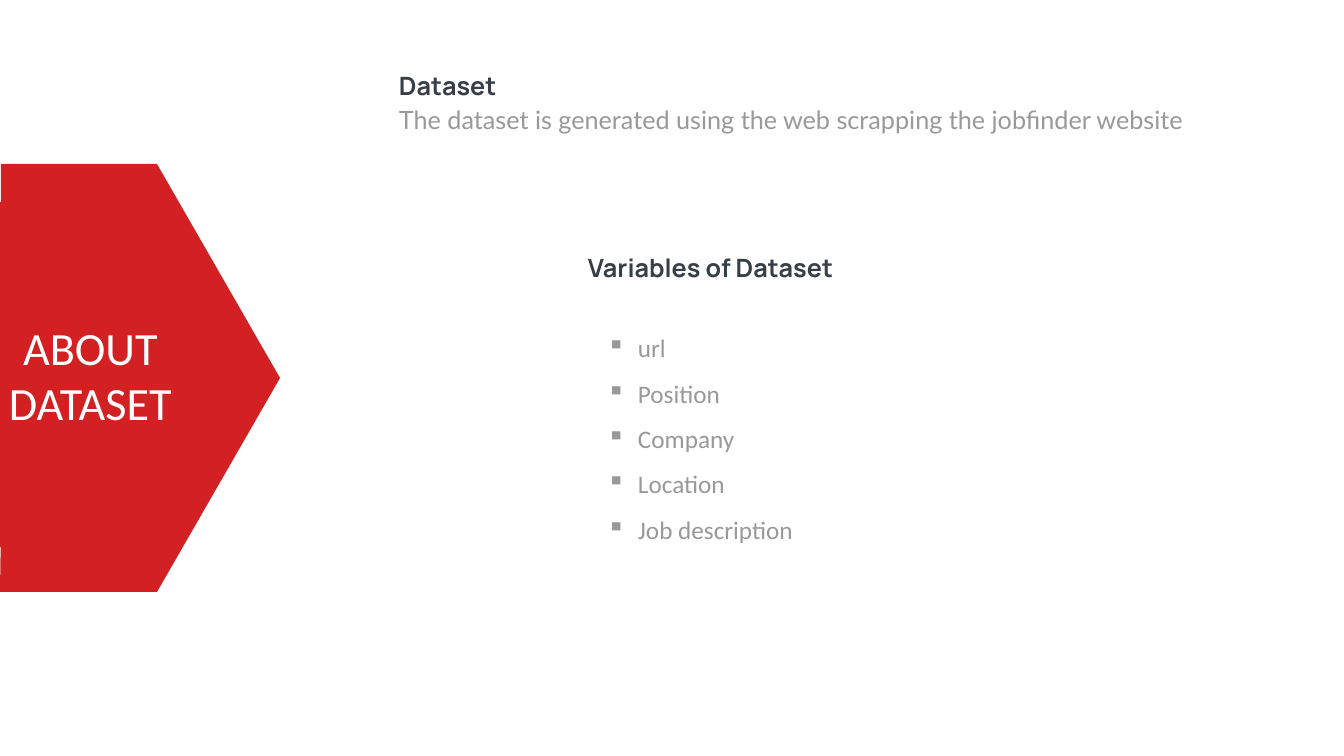
from lxml import etree
from pptx import Presentation
from pptx.dml.color import RGBColor
from pptx.enum.shapes import MSO_SHAPE
from pptx.enum.text import MSO_ANCHOR, MSO_AUTO_SIZE, PP_ALIGN
from pptx.oxml.ns import qn
from pptx.util import Pt

EMU_PER_PX = 914400 / 50.4
RED = RGBColor(0xD3, 0x20, 0x23)
WHITE = RGBColor(0xFF, 0xFF, 0xFF)
GRAY = RGBColor(0x99, 0x99, 0x99)
NAVY = RGBColor(0x36, 0x3E, 0x48)
HOME_PLATE = MSO_SHAPE.PENTAGON
MIDDLE = MSO_ANCHOR.MIDDLE
LEFT, CENTER = PP_ALIGN.LEFT, PP_ALIGN.CENTER
GROW = MSO_AUTO_SIZE.SHAPE_TO_FIT_TEXT

CHEVRON = [
    (280, 378), (157, 164), (1, 164), (1, 233), (117, 233), (201, 378),
    (117, 524), (1, 524), (0, 592), (157, 592),
]
VARIABLES = ["url", "Position", "Company", "Location", "Job description"]
BULLET_INDENT = 31


def px(length):
    return round(length * EMU_PER_PX)


def paint(shape, color):
    shape.shadow.inherit = False
    shape.fill.solid()
    shape.fill.fore_color.rgb = color
    shape.line.fill.background()


def write(paragraph, text, font, size, color, bold=False):
    run = paragraph.add_run()
    run.text = text
    run.font.name = font
    run.font.size = Pt(size)
    run.font.bold = bold
    run.font.color.rgb = color


def text_frame(shapes, left, top, width, height):
    frame = shapes.add_textbox(px(left), px(top), px(width), px(height)).text_frame
    frame.word_wrap = True
    frame.auto_size = GROW
    return frame


def add_line(shapes, box, text, font, color, bold=False, align=LEFT, spacing=None):
    paragraph = text_frame(shapes, *box).paragraphs[0]
    paragraph.alignment = align
    paragraph.line_spacing = spacing
    write(paragraph, text, font, 36, color, bold)


def add_bullet(paragraph):
    properties = paragraph._p.get_or_add_pPr()
    properties.set("marL", str(px(BULLET_INDENT)))
    properties.set("indent", str(-px(BULLET_INDENT)))
    etree.SubElement(properties, qn("a:buChar")).set("char", "▪")


def add_bullet_list(shapes, box, items):
    frame = text_frame(shapes, *box)
    for index, item in enumerate(items):
        paragraph = frame.add_paragraph() if index else frame.paragraphs[0]
        paragraph.line_spacing = 1.5
        add_bullet(paragraph)
        write(paragraph, item, "Calibri", 36, GRAY)


def add_title_banner(shapes, title):
    builder = shapes.build_freeform(*CHEVRON[0], scale=EMU_PER_PX)
    builder.add_line_segments(CHEVRON[1:], close=True)
    paint(builder.convert_to_shape(), RED)

    plate = shapes.add_shape(HOME_PLATE, 0, px(202), px(241), px(345))
    paint(plate, RED)
    frame = plate.text_frame
    frame.word_wrap = True
    frame.vertical_anchor = MIDDLE
    paragraph = frame.paragraphs[0]
    paragraph.alignment = CENTER
    write(paragraph, title, "Calibri", 66, WHITE)


def main():
    deck = Presentation()
    deck.slide_width, deck.slide_height = px(1344), px(756)
    shapes = deck.slides.add_slide(deck.slide_layouts[6]).shapes

    add_title_banner(shapes.add_group_shape().shapes, "ABOUT DATASET")

    summary = shapes.add_group_shape().shapes
    add_line(summary, (394, 104, 876, 34),
             "The dataset is generated using the web scrapping the jobfinder website",
             "Lato", GRAY, spacing=Pt(40.8))
    add_line(summary, (394, 68, 272, 36), "Dataset", "Manrope", NAVY, bold=True)

    add_bullet_list(shapes, (602, 315, 412, 310), VARIABLES)
    add_line(shapes, (521, 250, 379, 36), "Variables of Dataset", "Manrope", NAVY,
             bold=True, align=CENTER)

    deck.save("out.pptx")


main()
